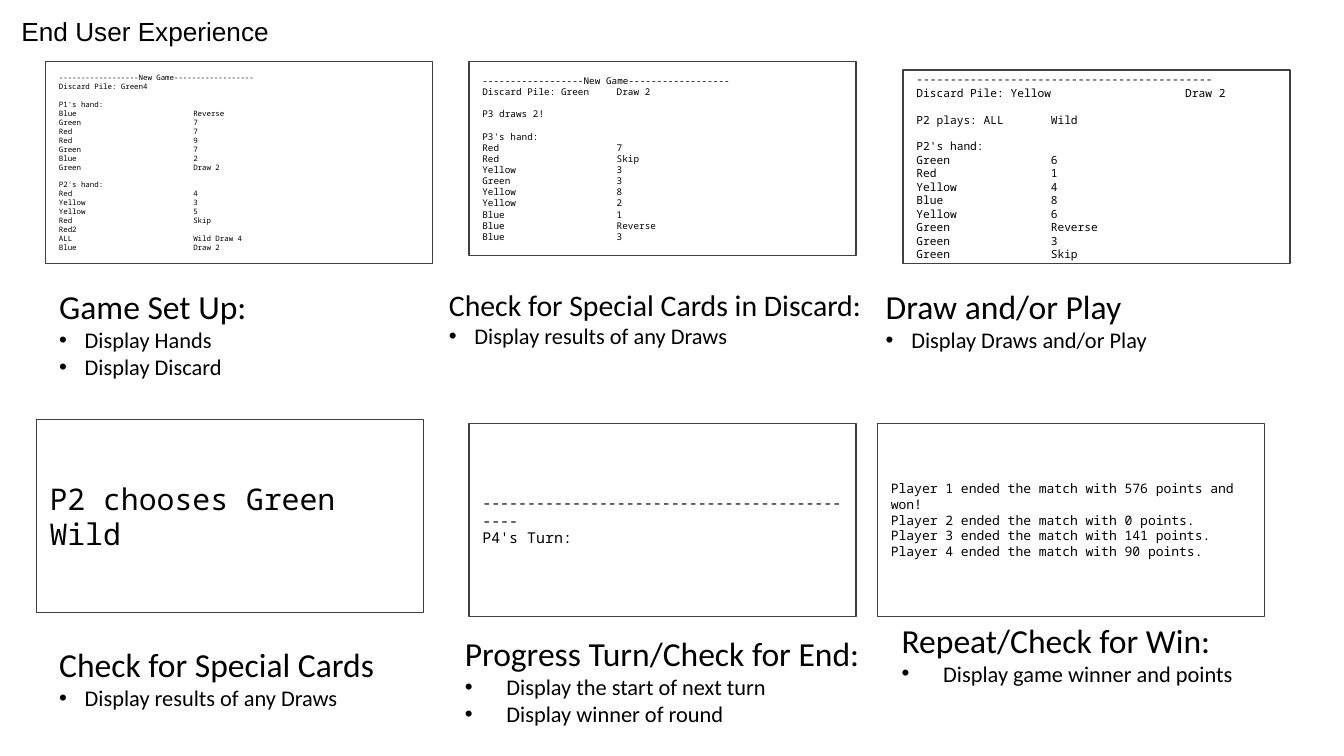
from dataclasses import dataclass
from itertools import zip_longest

from lxml.etree import SubElement
from pptx import Presentation
from pptx.dml.color import RGBColor
from pptx.enum.shapes import MSO_SHAPE
from pptx.enum.text import MSO_ANCHOR, MSO_AUTO_SIZE, PP_ALIGN
from pptx.oxml.ns import qn
from pptx.util import Inches, Pt


@dataclass(frozen=True)
class Theme:
    ink: RGBColor = RGBColor(0, 0, 0)
    outline: RGBColor = RGBColor(0x40, 0x40, 0x40)
    title_font: str = "Arial"
    body_font: str = "Calibri"
    console_font: str = "Noto Sans Mono"
    title_size: int = 14
    heading_size: int = 18
    narrow_heading_size: int = 16
    bullet_size: int = 12
    line_height: float = 1.2


THEME = Theme()
SLIDE_WIDTH = 10
CONSOLE_WIDTH, CONSOLE_HEIGHT = 2.88, 1.44
TAB_STOPS = (1, 2)
NEW_GAME = "New Game".center(44, "-")
DIVIDER = "-" * 44

# Console screens: left, top, height, text size, blocks separated by one line
CONSOLES = [
    (0.34, 0.46, 1.5, 4, [
        [NEW_GAME, "Discard Pile: Green4"],
        ["P1's hand:", "Blue\tReverse", "Green\t7", "Red\t7", "Red\t9",
         "Green\t7", "Blue\t2", "Green\tDraw 2"],
        ["P2's hand:", "Red\t4", "Yellow\t3", "Yellow\t5", "Red\tSkip",
         "Red2", "ALL\tWild Draw 4", "Blue\tDraw 2"],
    ]),
    (3.49, 0.46, CONSOLE_HEIGHT, 5, [
        [NEW_GAME, "Discard Pile: Green\tDraw 2"],
        ["P3 draws 2!"],
        ["P3's hand:", "Red\t7", "Red\tSkip", "Yellow\t3", "Green\t3",
         "Yellow\t8", "Yellow\t2", "Blue\t1", "Blue\tReverse", "Blue\t3"],
    ]),
    (6.72, 0.52, CONSOLE_HEIGHT, 6, [
        [DIVIDER, "Discard Pile: Yellow\tDraw 2"],
        ["P2 plays: ALL\tWild"],
        ["P2's hand:", "Green\t6", "Red\t1", "Yellow\t4", "Blue\t8",
         "Yellow\t6", "Green\tReverse", "Green\t3", "Green\tSkip"],
    ]),
    (0.27, 3.12, CONSOLE_HEIGHT, 16, [["P2 chooses Green Wild"]]),
    (3.49, 3.15, CONSOLE_HEIGHT, 8, [[DIVIDER, "P4's Turn:"]]),
    (6.53, 3.15, CONSOLE_HEIGHT, 7, [
        ["Player 1 ended the match with 576 points and won!",
         "Player 2 ended the match with 0 points.",
         "Player 3 ended the match with 141 points.",
         "Player 4 ended the match with 90 points."],
    ]),
]

# Captions: left, top, width, height, heading size, bullet indent, heading, bullets
CAPTIONS = [
    (0.34, 2.08, 2.88, 0.81, THEME.heading_size, 0.19,
     "Game Set Up:", ["Display Hands", "Display Discard"]),
    (3.24, 2.08, 3.28, 0.57, THEME.narrow_heading_size, 0.19,
     "Check for Special Cards in Discard:", ["Display results of any Draws"]),
    (6.49, 2.08, 3.38, 0.61, THEME.heading_size, 0.19,
     "Draw and/or Play", ["Display Draws and/or Play"]),
    (0.34, 4.74, 2.88, 0.61, THEME.heading_size, 0.19,
     "Check for Special Cards", ["Display results of any Draws"]),
    (3.36, 4.66, 3.28, 0.81, THEME.heading_size, 0.31,
     "Progress Turn/Check for End:",
     ["Display the start of next turn", "Display winner of round"]),
    (6.61, 4.56, 2.92, 0.61, THEME.heading_size, 0.31,
     "Repeat/Check for Win:", ["Display game winner and points"]),
]


def place(shape, left, top, width, height):
    shape.left, shape.top = Inches(left), Inches(top)
    shape.width, shape.height = Inches(width), Inches(height)


def prepare_frame(shape, anchor):
    frame = shape.text_frame
    frame.word_wrap = True
    frame.auto_size = MSO_AUTO_SIZE.NONE
    frame.vertical_anchor = anchor
    return frame


def write_line(frame, index, text, font, size, space_before=0):
    line = frame.paragraphs[0] if index == 0 else frame.add_paragraph()
    line.alignment = PP_ALIGN.LEFT
    line.space_before = Pt(space_before)
    run = line.add_run()
    run.text = text
    run.font.name = font
    run.font.size = Pt(size)
    run.font.bold = False
    run.font.color.rgb = THEME.ink
    return line


def set_bullet(line, indent):
    """Give the line a hanging bullet, or none when the indent is zero."""
    properties = line._p.get_or_add_pPr()
    properties.set("marL", str(Inches(indent)))
    properties.set("indent", str(-Inches(indent)))
    if indent:
        SubElement(properties, qn("a:buFont"), typeface=THEME.title_font)
        SubElement(properties, qn("a:buChar"), char="•")
    else:
        SubElement(properties, qn("a:buNone"))


def set_tabs(line):
    stops = SubElement(line._p.get_or_add_pPr(), qn("a:tabLst"))
    for stop in TAB_STOPS:
        SubElement(stops, qn("a:tab"), pos=str(Inches(stop)), algn="l")


def write_title(slide, text):
    title = slide.shapes.title
    place(title, 0.06, 0.06, 5.5, 0.34)
    frame = prepare_frame(title, MSO_ANCHOR.BOTTOM)
    write_line(frame, 0, text, THEME.title_font, THEME.title_size)


def add_console(slide, left, top, height, size, blocks):
    console = slide.shapes.add_shape(
        MSO_SHAPE.RECTANGLE, Inches(left), Inches(top),
        Inches(CONSOLE_WIDTH), Inches(height))
    console.shadow.inherit = False
    console.fill.background()
    console.line.color.rgb = THEME.outline
    console.line.width = Pt(0.75)
    frame = prepare_frame(console, MSO_ANCHOR.MIDDLE)
    index = 0
    for block_number, block in enumerate(blocks):
        for row, text in enumerate(block):
            starts_block = block_number > 0 and row == 0
            gap = size * THEME.line_height if starts_block else 0
            line = write_line(frame, index, text, THEME.console_font, size, gap)
            if "\t" in text:
                set_tabs(line)
            index += 1


def write_caption(caption, heading_size, indent, heading, bullets):
    frame = prepare_frame(caption, MSO_ANCHOR.TOP)
    set_bullet(write_line(frame, 0, heading, THEME.body_font, heading_size), 0)
    for index, bullet in enumerate(bullets, start=1):
        line = write_line(frame, index, bullet, THEME.body_font, THEME.bullet_size)
        set_bullet(line, indent)


def main():
    # Widescreen slide, 16 by 9
    deck = Presentation()
    deck.slide_width = Inches(SLIDE_WIDTH)
    deck.slide_height = Inches(SLIDE_WIDTH * 9 / 16)
    slide = deck.slides.add_slide(deck.slide_layouts.get_by_name("Comparison"))
    bodies = [holder for holder in slide.placeholders
              if holder.placeholder_format.idx > 0]

    write_title(slide, "End User Experience")

    # Game screens
    for console in CONSOLES:
        add_console(slide, *console)

    # Captions: the layout's four bodies first, then text boxes
    for (*bounds, size, indent, heading, bullets), body in zip_longest(CAPTIONS, bodies):
        caption = body or slide.shapes.add_textbox(0, 0, 0, 0)
        place(caption, *bounds)
        write_caption(caption, size, indent, heading, bullets)

    deck.save("out.pptx")


if __name__ == "__main__":
    main()
